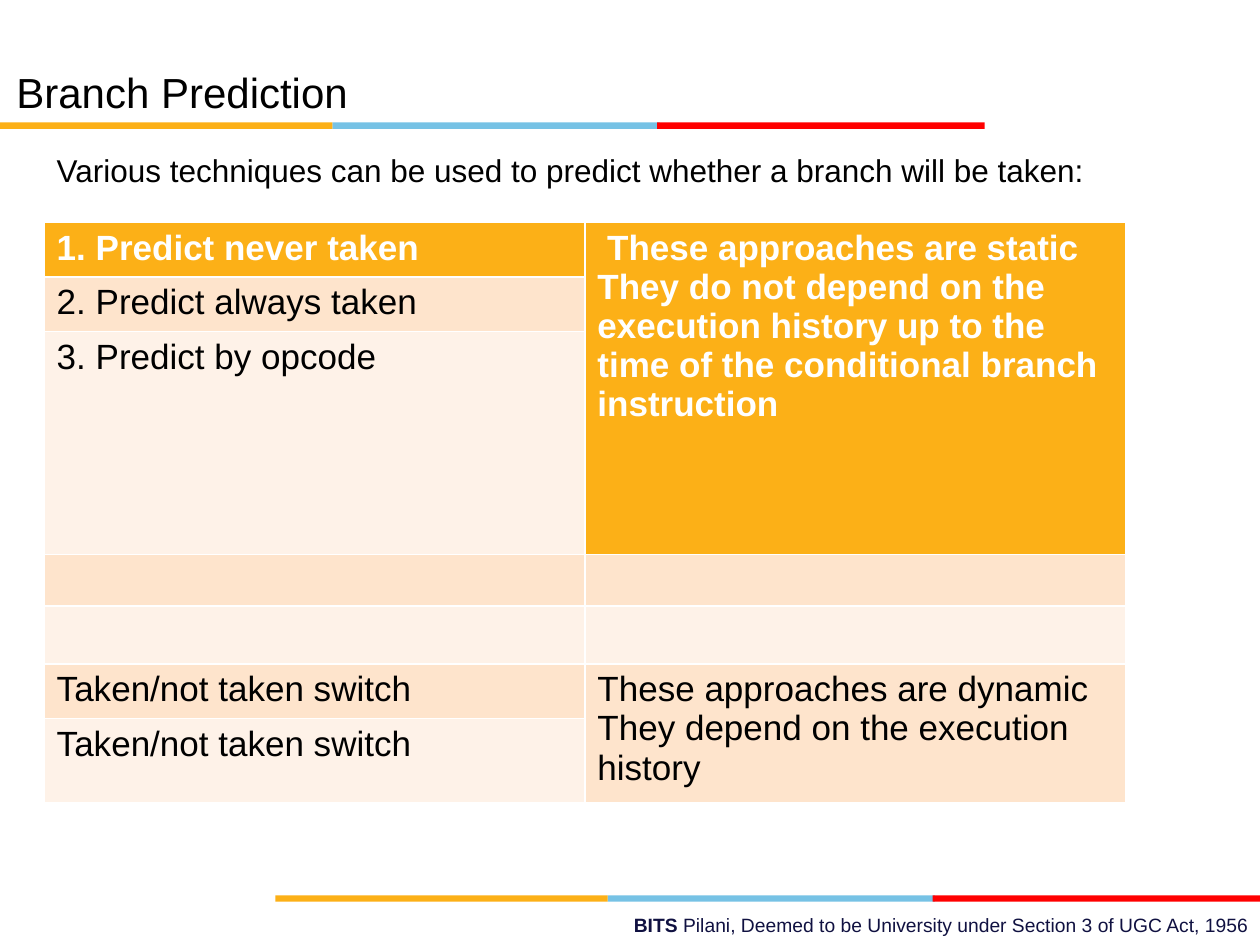
from pptx import Presentation
from pptx.dml.color import RGBColor
from pptx.enum import shapes, text
from pptx.util import Cm, Pt

COLORS = {
    "amber": "FCB017", "sky": "76C2E5", "red": "FF0000", "navy": "101141",
    "black": "000000", "white": "FFFFFF", "band_dark": "FEE4CC", "band_light": "FEF2E8",
}


def rgb(name):
    return RGBColor.from_string(COLORS[name])


def set_font(font, size, color, bold=False):
    font.name, font.size, font.bold = "Arial", Pt(size), bold
    font.color.rgb = rgb(color)


deck = Presentation()
deck.slide_width, deck.slide_height = Cm(25.4), Cm(19.05)
page = deck.slides.add_slide(deck.slide_layouts[1])

# Three-colour rules under the title and above the footer
for start, top in ((0, 2.47), (5.55, 18.05)):
    for color, offset, width in (("sky", 6.7, 6.6), ("amber", 0, 6.7), ("red", 13.25, 6.6)):
        bar = page.shapes.add_shape(shapes.MSO_SHAPE.RECTANGLE, Cm(start + offset), Cm(top),
                                    Cm(width), Cm(0.13))
        bar.shadow.inherit = False
        bar.fill.solid()
        bar.fill.fore_color.rgb = rgb(color)
        bar.line.fill.background()

# Footer
footer = page.shapes.add_textbox(Cm(8.8), Cm(18.28), Cm(16.63), Cm(0.74))
footer.text_frame.word_wrap = True
para = footer.text_frame.paragraphs[0]
para.alignment = text.PP_ALIGN.RIGHT
for words, bold in (("BITS ", True),
                    ("Pilani, Deemed to be University under Section 3 of UGC Act, 1956", False)):
    span = para.add_run()
    span.text = words
    set_font(span.font, 11, "navy", bold)

# Title
title = page.shapes.title
title.left, title.top, title.width, title.height = Cm(0.33), Cm(0.71), Cm(18.14), Cm(1.65)
frame = title.text_frame
frame.text = "Branch Prediction"
frame.auto_size = text.MSO_AUTO_SIZE.NONE
frame.vertical_anchor = text.MSO_ANCHOR.BOTTOM
frame.margin_left = frame.margin_top = frame.margin_right = frame.margin_bottom = 0
frame.paragraphs[0].alignment = text.PP_ALIGN.LEFT
set_font(frame.paragraphs[0].font, 24, "black")

# Introductory line, without a bullet
body = page.placeholders[1]
body.left, body.top, body.width, body.height = Cm(0.89), Cm(2.92), Cm(21.79), Cm(3.1)
frame = body.text_frame
frame.text = "Various techniques can be used to predict whether a branch will be taken:"
frame.auto_size = text.MSO_AUTO_SIZE.NONE
para = frame.paragraphs[0]
para.space_before = Pt(0)
props = para._p.get_or_add_pPr()
props.set("marL", "0")
props.set("indent", "0")
props.insert_element_before(props.makeelement(
    "{http://schemas.openxmlformats.org/drawingml/2006/main}buNone", {}), "a:tabLst", "a:defRPr")
set_font(para.font, 18, "black")

# Table of techniques
rows = [
    ("1. Predict never taken", " These approaches are static They do not depend on the "
                               "execution history up to the time of the conditional branch instruction"),
    ("2. Predict always taken", ""),
    ("3. Predict by opcode", ""),
    ("", ""),
    ("", ""),
    ("Taken/not taken switch", "These approaches are dynamic They depend on the execution history"),
    ("Taken/not taken switch", ""),
]
holder = page.shapes.add_table(len(rows), 2, Cm(0.89), Cm(4.48), Cm(21.79), Cm(9.55))
table = holder.table
for column in table.columns:
    column.width = Cm(10.9)
for r, values in enumerate(rows):
    table.rows[r].height = Cm(1.17 if r == 4 else 1.04)
    fill = "amber" if r == 0 else "band_dark" if r % 2 else "band_light"
    for c, words in enumerate(values):
        cell = table.cell(r, c)
        cell.fill.solid()
        cell.fill.fore_color.rgb = rgb(fill)
        if words:
            cell.text = words
            set_font(cell.text_frame.paragraphs[0].font, 20,
                     "white" if r == 0 else "black", r == 0)
for first, last in ((0, 2), (5, 6)):
    table.cell(first, 1).merge(table.cell(last, 1))
holder.height = Cm(9.55)

deck.save("out.pptx")
